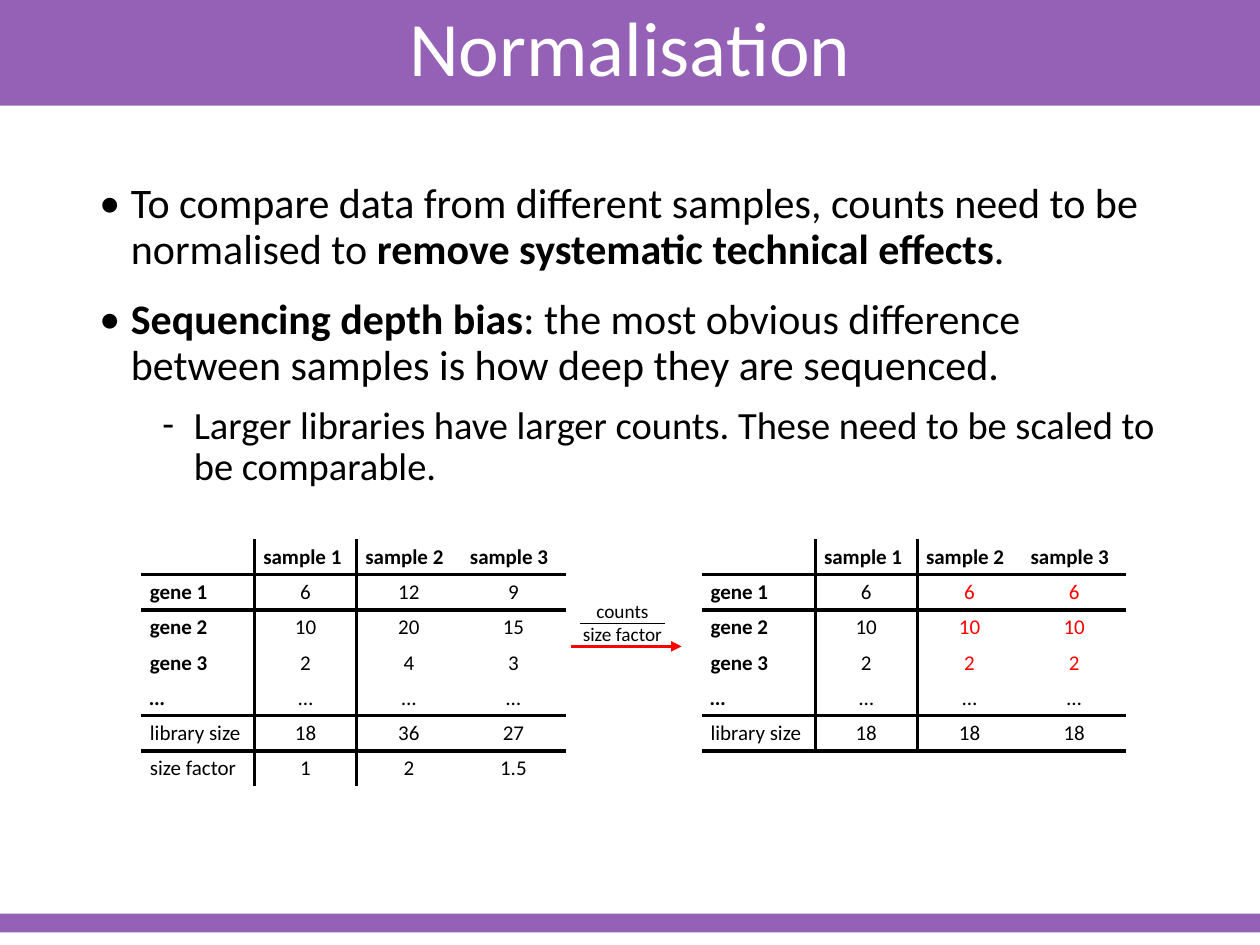
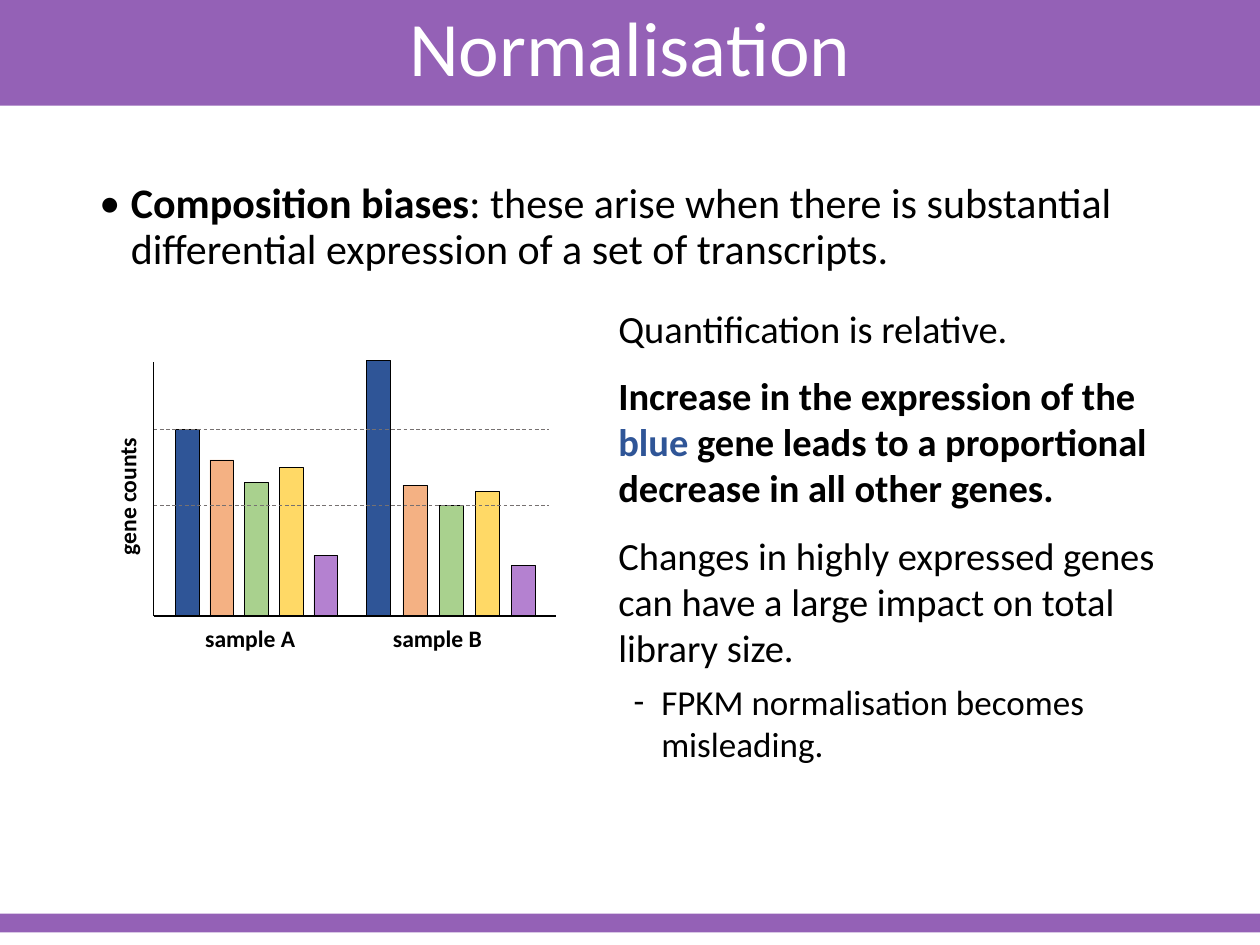
from dataclasses import dataclass

from lxml.etree import SubElement
from pptx import Presentation
from pptx.dml.color import RGBColor
from pptx.enum.dml import MSO_LINE
from pptx.enum.shapes import MSO_CONNECTOR, MSO_SHAPE
from pptx.enum.text import MSO_ANCHOR, MSO_AUTO_SIZE, PP_ALIGN
from pptx.oxml.ns import qn
from pptx.util import Inches, Pt


@dataclass(frozen=True)
class Theme:
    font: str = "Calibri"
    purple: str = "9461B6"
    white: str = "FFFFFF"
    black: str = "000000"
    red: str = "FF0000"
    grey: str = "767171"
    blue: str = "2F5597"
    genes: tuple = ("2F5597", "F4B183", "A9D18E", "FFD966", "B481D0")
    title: float = 44
    body: float = 24
    detail: float = 22
    small_detail: float = 20
    chart_label: float = 13.5
    table: float = 12
    fraction: float = 11
    rule: float = 2.25


THEME = Theme()
NO_GRID_STYLE = "{2D5ABB26-0587-4C30-8999-92F81FD0307C}"
COLUMN_WIDTHS = (0.9, 0.81, 0.83, 0.83)
ROW_HEIGHT = 0.25
SAMPLES = ["", "sample 1", "sample 2", "sample 3"]
RAW_COUNTS = [
    SAMPLES,
    ["gene 1", "6", "12", "9"],
    ["gene 2", "10", "20", "15"],
    ["gene 3", "2", "4", "3"],
    ["…", "…", "…", "…"],
    ["library size", "18", "36", "27"],
    ["size factor", "1", "2", "1.5"],
]
NORMALISED_COUNTS = [
    SAMPLES,
    ["gene 1", "6", "6", "6"],
    ["gene 2", "10", "10", "10"],
    ["gene 3", "2", "2", "2"],
    ["…", "…", "…", "…"],
    ["library size", "18", "18", "18"],
    ["", "", "", ""],
]


def style_run(run, size, color=THEME.black, bold=False, italic=False):
    run.font.name = THEME.font
    run.font.size = Pt(size)
    run.font.color.rgb = RGBColor.from_string(color)
    run.font.bold = bold
    run.font.italic = italic


def add_text_frame(slide, left, top, width, height, wrap=True):
    box = slide.shapes.add_textbox(Inches(left), Inches(top), Inches(width), Inches(height))
    box.text_frame.word_wrap = wrap
    if not wrap:
        box.text_frame.auto_size = MSO_AUTO_SIZE.SHAPE_TO_FIT_TEXT
    return box.text_frame


def add_paragraph(text_frame, pieces, size, before=0, after=0, spacing=1.0,
                  margin=0.0, indent=0.0, bullet=None, align=PP_ALIGN.LEFT):
    """Fill the empty first paragraph or add one; pieces are (text, bold[, color])."""
    first = text_frame.paragraphs[0]
    is_first = not first.runs
    paragraph = first if is_first else text_frame.add_paragraph()
    paragraph.alignment = align
    paragraph.line_spacing = spacing
    paragraph.space_before = Pt(0 if is_first else before)
    paragraph.space_after = Pt(after)
    properties = paragraph._p.get_or_add_pPr()
    properties.set("marL", str(Inches(margin)))
    properties.set("indent", str(Inches(indent)))
    if bullet:
        SubElement(properties, qn("a:buFont"), typeface=THEME.font)
        SubElement(properties, qn("a:buChar"), char=bullet)
    for text, *style in pieces:
        run = paragraph.add_run()
        run.text = text
        bold, color = (*style, THEME.black)[:2]
        style_run(run, size, color, bold)


def add_rectangle(slide, left, top, width, height, fill, outline=None):
    shape = slide.shapes.add_shape(
        MSO_SHAPE.RECTANGLE, Inches(left), Inches(top), Inches(width), Inches(height))
    shape.shadow.inherit = False
    shape.fill.solid()
    shape.fill.fore_color.rgb = RGBColor.from_string(fill)
    if outline:
        shape.line.color.rgb = RGBColor.from_string(outline)
        shape.line.width = Pt(0.25)
    else:
        shape.line.fill.background()


def add_line(slide, start, end, color, width):
    connector = slide.shapes.add_connector(
        MSO_CONNECTOR.STRAIGHT, *(Inches(value) for value in (*start, *end)))
    SubElement(connector._element.spPr, qn("a:effectLst"))
    connector.line.color.rgb = RGBColor.from_string(color)
    connector.line.width = Pt(width)
    return connector


def add_base_slide(presentation, title):
    """Add a blank slide with the title band and the footer band."""
    slide = presentation.slides.add_slide(presentation.slide_layouts[6])
    add_rectangle(slide, 0, -0.02, 10, 0.86, THEME.purple)
    add_rectangle(slide, 0, 7.25, 10, 0.15, THEME.purple)
    text_frame = add_text_frame(slide, 0.69, -0.02, 8.62, 0.86)
    text_frame.vertical_anchor = MSO_ANCHOR.MIDDLE
    add_paragraph(text_frame, [(title, False, THEME.white)], THEME.title,
                  spacing=0.9, align=PP_ALIGN.CENTER)
    return slide


def add_body_bullet(text_frame, pieces, after):
    add_paragraph(text_frame, pieces, THEME.body, before=10, after=after,
                  spacing=0.9, margin=0.25, indent=-0.25, bullet="•")


def set_borders(cell, sides):
    properties = cell._tc.get_or_add_tcPr()
    for side in "LRTB":
        if side in sides:
            line = SubElement(properties, qn(f"a:ln{side}"), w=str(Pt(THEME.rule)))
            fill = SubElement(line, qn("a:solidFill"))
            SubElement(fill, qn("a:srgbClr"), val=THEME.black)


def border_sides(row, column, last_row):
    """Rules run under the header, above the totals and after the gene names."""
    sides = {0: "R", 1: "L"}.get(column, "")
    if row in (0, last_row - 2):
        sides += "B"
    if row in (1, last_row - 1):
        sides += "T"
    return sides


def fill_count_cell(cell, text, row, column, color):
    cell.margin_left = cell.margin_right = Inches(0.07)
    cell.margin_top = cell.margin_bottom = Inches(0.04)
    paragraph = cell.text_frame.paragraphs[0]
    if not text:
        SubElement(paragraph._p, qn("a:endParaRPr"), sz=str(THEME.table * 100))
        return
    paragraph.text = text
    if row and column:
        paragraph.alignment = PP_ALIGN.CENTER
    is_heading = row == 0 or (column == 0 and row < 5)
    style_run(paragraph.runs[0], THEME.table, color, is_heading,
              italic=column == 0 and text == "…")


def add_count_table(slide, left, top, rows, changed_color=THEME.black):
    """Gene counts by sample; changed_color marks the genes of samples 2 and 3."""
    frame = slide.shapes.add_table(
        len(rows), len(COLUMN_WIDTHS), Inches(left), Inches(top),
        Inches(sum(COLUMN_WIDTHS)), Inches(ROW_HEIGHT * len(rows)))
    table = frame.table
    table._tbl.tblPr.find(qn("a:tableStyleId")).text = NO_GRID_STYLE
    table.first_row = table.horz_banding = False
    for column, width in zip(table.columns, COLUMN_WIDTHS):
        column.width = Inches(width)
    last_row = len(rows) - 1
    for row, values in enumerate(rows):
        table.rows[row].height = Inches(ROW_HEIGHT)
        for column, text in enumerate(values):
            cell = table.cell(row, column)
            changed = 1 <= row <= 3 and column >= 2
            fill_count_cell(cell, text, row, column,
                            changed_color if changed else THEME.black)
            if any(values):
                set_borders(cell, border_sides(row, column, last_row))
            cell.fill.background()


def add_scaling_arrow(slide, left, top):
    text_frame = add_text_frame(slide, left, top, 0.84, 0.47, wrap=False)
    for text in ("counts", "size factor"):
        add_paragraph(text_frame, [(text, False)], THEME.fraction, align=PP_ALIGN.CENTER)
    arrow = add_line(slide, (left + 0.01, top + 0.42), (left + 0.89, top + 0.42),
                     THEME.red, 1.5)
    SubElement(arrow.line._get_or_add_ln(), qn("a:tailEnd"), type="triangle")
    add_line(slide, (left + 0.08, top + 0.24), (left + 0.76, top + 0.24), THEME.black, 0.5)


def add_chart_label(slide, left, top, width, text):
    text_frame = add_text_frame(slide, left, top, width, 0.36, wrap=False)
    add_paragraph(text_frame, [(text, True)], THEME.chart_label)
    return slide.shapes[-1]


def add_gene_count_sketch(slide, left, bottom):
    """Schematic bars for two samples; left and bottom are where the axes meet."""
    samples = (
        ("sample A", 0.17, 0.275, 0.31, (1.48, 1.24, 1.06, 1.18, 0.48)),
        ("sample B", 1.69, 0.2875, 1.8, (2.03, 1.04, 0.88, 0.99, 0.4)),
    )
    for name, first_bar, step, label_offset, heights in samples:
        for index, (height, color) in enumerate(zip(heights, THEME.genes)):
            add_rectangle(slide, left + first_bar + index * step, bottom - height,
                          0.19, height, color, THEME.black)
        add_chart_label(slide, left + label_offset, bottom + 0.01, 1.01, name)
    for level in (1.48, 0.88):
        guide = add_line(slide, (left, bottom - level), (left + 3.14, bottom - level),
                         THEME.grey, 0.5)
        guide.line.dash_style = MSO_LINE.DASH
    add_chart_label(slide, left - 0.82, bottom - 1.19, 1.25, "gene counts").rotation = 270
    for end in ((left, bottom - 2.02), (left + 3.19, bottom)):
        add_line(slide, (left, bottom), end, THEME.black, 0.75)


def add_interpretation(slide, left, top, width, height):
    text_frame = add_text_frame(slide, left, top, width, height)
    statements = (
        [("Quantification is relative.", False)],
        [("Increase in the expression of the ", True), ("blue", True, THEME.blue),
         (" gene leads to a proportional decrease in all other genes.", True)],
        [("Changes in highly expressed genes can have a large impact "
          "on total library size.", False)],
    )
    for pieces in statements:
        add_paragraph(text_frame, pieces, THEME.detail, before=6, after=6, margin=0.4)
    add_paragraph(text_frame, [("FPKM normalisation becomes misleading.", False)],
                  THEME.small_detail, after=6, margin=0.74, indent=-0.22, bullet="-")


def add_depth_bias_slide(presentation):
    slide = add_base_slide(presentation, "Normalisation")
    text_frame = add_text_frame(slide, 0.69, 1.4, 8.62, 3.28)
    add_body_bullet(text_frame, [
        ("To compare data from different samples, counts need to be normalised to ", False),
        ("remove systematic technical effects", True), (".", False)], after=4.5)
    add_body_bullet(text_frame, [
        ("Sequencing depth bias", True),
        (": the most obvious difference between samples is how deep they are sequenced.",
         False)], after=4.5)
    add_paragraph(text_frame, [
        ("Larger libraries have larger counts. These need to be scaled to be comparable.",
         False)], THEME.detail, before=5, after=4.5, spacing=0.9,
        margin=0.75, indent=-0.25, bullet="-")
    add_count_table(slide, 1.12, 4.28, RAW_COUNTS)
    add_count_table(slide, 5.57, 4.28, NORMALISED_COUNTS, THEME.red)
    add_scaling_arrow(slide, 4.52, 4.71)


def add_composition_bias_slide(presentation):
    slide = add_base_slide(presentation, "Normalisation")
    text_frame = add_text_frame(slide, 0.69, 1.4, 8.62, 0.9)
    add_body_bullet(text_frame, [
        ("Composition biases", True),
        (": these arise when there is substantial differential expression "
         "of a set of transcripts.", False)], after=2.2)
    add_gene_count_sketch(slide, 1.22, 4.89)
    add_interpretation(slide, 4.41, 2.37, 4.9, 3.79)


def main():
    presentation = Presentation()
    presentation.slide_width = Inches(10)
    presentation.slide_height = Inches(7.5)
    add_depth_bias_slide(presentation)
    add_composition_bias_slide(presentation)
    presentation.save("out.pptx")


if __name__ == "__main__":
    main()
